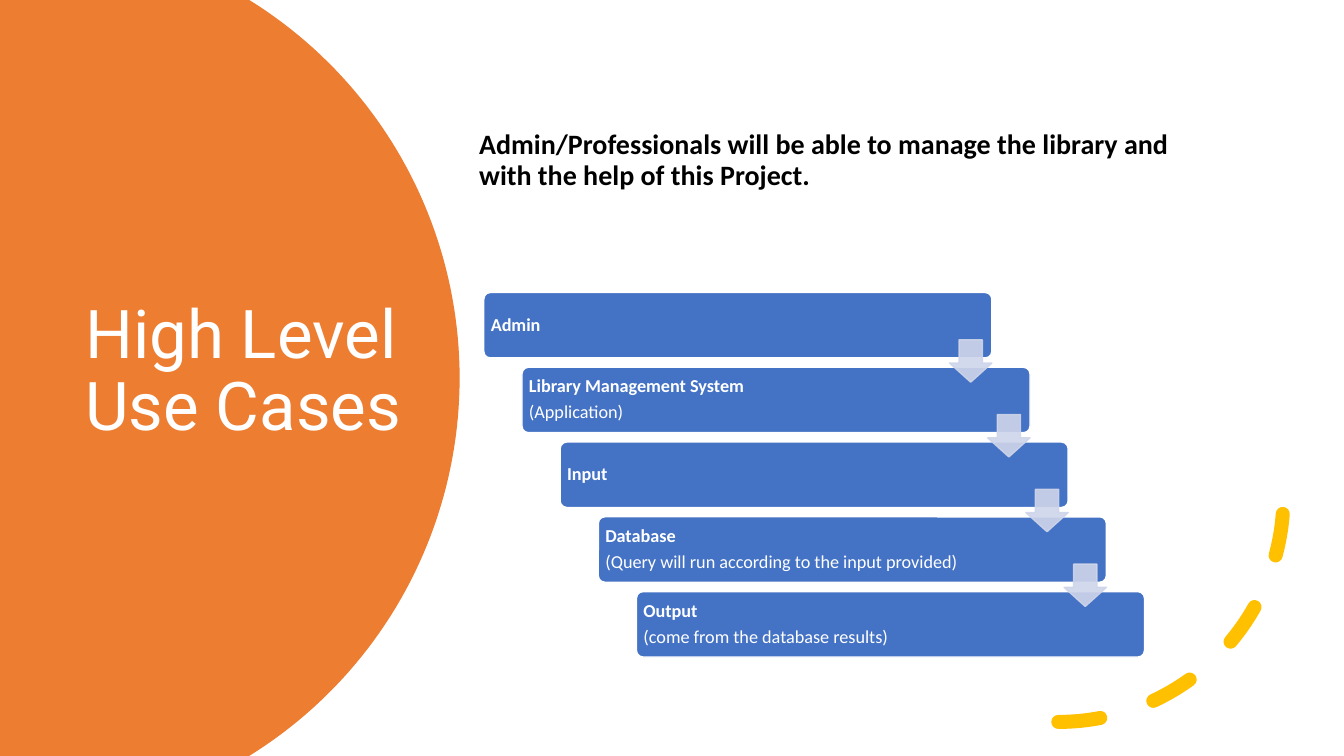
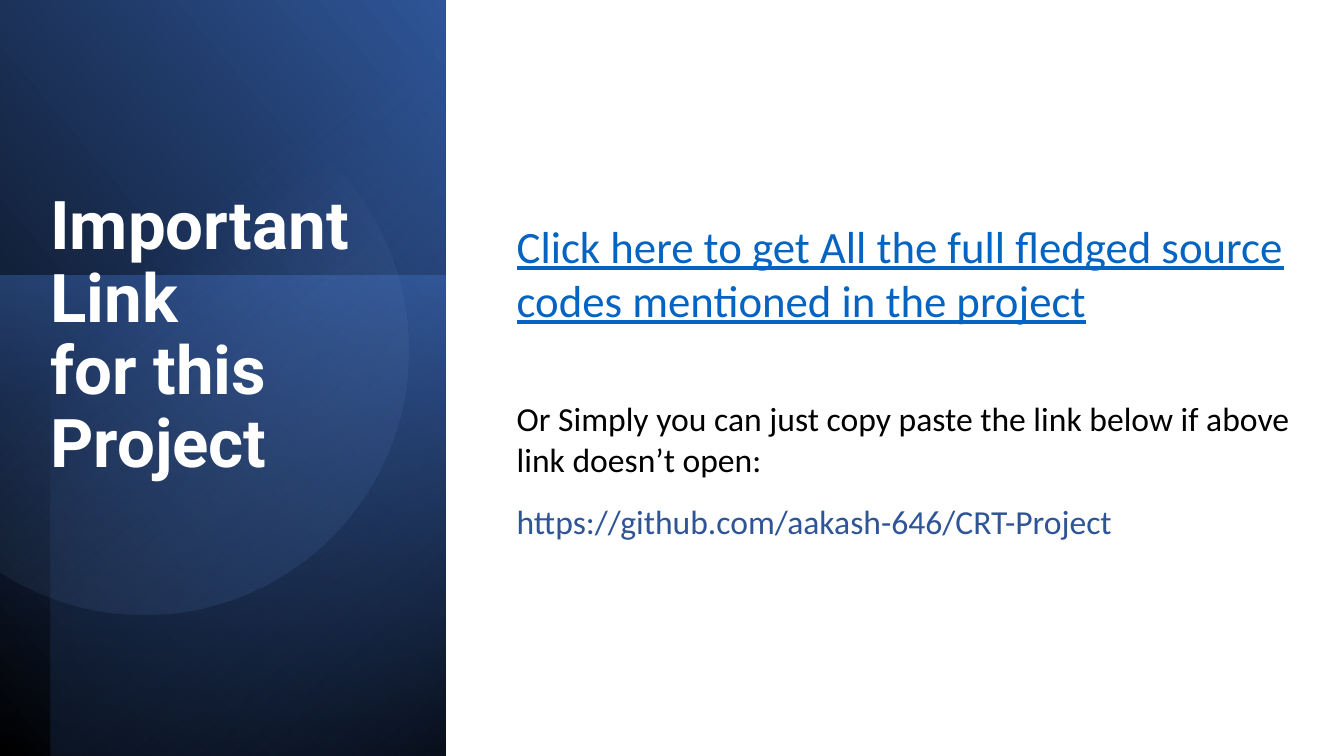
"""Build two library project slides: the use case cascade and the source link."""
from dataclasses import dataclass
from math import cos, radians, sin

from lxml.etree import SubElement
from pptx import Presentation
from pptx.dml.color import RGBColor
from pptx.enum.dml import MSO_LINE
from pptx.enum.shapes import MSO_SHAPE as Preset
from pptx.enum.text import MSO_ANCHOR as Anchor, MSO_AUTO_SIZE as AutoSize, PP_ALIGN as Align
from pptx.oxml.ns import qn
from pptx.oxml.xmlchemy import OxmlElement
from pptx.util import Inches, Pt


@dataclass(frozen=True)
class Theme:
    heading: str = "Roboto"
    body: str = "Calibri"
    white: str = "FFFFFF"
    black: str = "000000"
    orange: str = "ED7D31"
    yellow: str = "FFC000"
    blue: str = "4472C4"
    mid_blue: str = "2F5597"
    navy: str = "203864"
    sky: str = "8FAADC"
    mist: str = "CFD5EA"
    link: str = "0563C1"
    title_size: int = 48
    link_size: int = 32
    text_size: int = 24
    lead_size: int = 20
    step_size: int = 13


theme = Theme()
deck = Presentation()
deck.slide_width, deck.slide_height = Inches(13.33), Inches(7.5)
column, row = deck.slide_width / 100, deck.slide_height / 100


def cells(left, top, width, height):
    return round(left * column), round(top * row), round(width * column), round(height * row)


def write(frame, lines, size, color, face=theme.body, bold=False, spacing=1.0, after=0):
    frame.word_wrap = True
    frame.auto_size = AutoSize.NONE
    frame.text = "\n".join(lines)
    for para in frame.paragraphs:
        para.alignment = Align.LEFT
        para.line_spacing = spacing
        para.space_before, para.space_after = Pt(0), Pt(after)
        para.font.name, para.font.size, para.font.bold = face, Pt(size), bold
        para.font.color.rgb = RGBColor.from_string(color)


cases_page = deck.slides.add_slide(deck.slide_layouts[1])
link_page = deck.slides.add_slide(deck.slide_layouts[5])

panel_width = 33.15
panels = [
    link_page.shapes.add_shape(Preset.RECTANGLE, *cells(*area))
    for area in (
        (0, 0, panel_width, 100),
        (0, 36.5, panel_width, 63.5),
        (3.75, 0, panel_width - 3.75, 100),
    )
]

discs = []
for page, center_x, center_y, radius, half_angle in (
    (cases_page, 1.1, 50, 33.1, 58.2),
    (link_page, 10.7, 46.3, 19.7, 122.9),
):
    steps = 90
    angles = [radians(half_angle * (2 * step / steps - 1)) for step in range(steps + 1)]
    points = [
        (
            max(0, round((center_x + radius * cos(angle)) * column)),
            round(center_y * row + radius * sin(angle) * column),
        )
        for angle in angles
    ]
    builder = page.shapes.build_freeform(0, points[0][1])
    builder.add_line_segments(points + [(0, points[-1][1])], close=True)
    discs.append(builder.convert_to_shape())

for shape in panels + discs:
    shape.shadow.inherit = False
    shape.line.fill.background()

discs[0].fill.solid()
discs[0].fill.fore_color.rgb = RGBColor.from_string(theme.orange)

for shape, angle, stops in (
    (panels[0], 40, ((0, theme.black, 100), (100, theme.mid_blue, 100))),
    (panels[1], 260, ((0, theme.blue, 50), (100, theme.navy, 0))),
    (panels[2], 130, ((0, theme.black, 59), (69, theme.blue, 0))),
    (discs[1], 309, ((39, theme.sky, 0), (100, theme.mid_blue, 26))),
):
    shape.fill.gradient()
    shape.fill.gradient_angle = angle
    for stop, (position, color, opacity) in zip(shape.fill.gradient_stops, stops):
        stop.position = position / 100
        stop.color.rgb = RGBColor.from_string(color)
    for tint, (position, color, opacity) in zip(list(shape.element.iter(qn("a:srgbClr"))), stops):
        SubElement(tint, qn("a:alpha"), val=str(opacity * 1000))

for page, text, area, anchor, bold in (
    (cases_page, "High Level Use Cases", (5.6, 16.8, 26.3, 65), Anchor.MIDDLE, False),
    (link_page, "Important\vLink\vfor this\vProject", (3, 24.7, 30.4, 60.5), Anchor.TOP, True),
):
    title = page.shapes.title
    title.left, title.top, title.width, title.height = cells(*area)
    title.text_frame.vertical_anchor = anchor
    write(title.text_frame, [text], theme.title_size, theme.white, theme.heading, bold, 0.9)
    title.element.getparent().append(title.element)

arc = cases_page.shapes.add_shape(Preset.ARC, *cells(62, 35.9, 33.5, 59.6))
arc.shadow.inherit = False
arc.fill.background()
arc.line.color.rgb = RGBColor.from_string(theme.yellow)
arc.line.width = Pt(10)
arc.line.dash_style = MSO_LINE.DASH
arc.element.spPr.find(qn("a:ln")).set("cap", "rnd")
arc.element.spPr.find(qn("a:xfrm")).set("flipV", "1")

lead = cases_page.placeholders[1]
lead.left, lead.top, lead.width, lead.height = cells(34.9, 10.1, 56, 22.4)
lead.text_frame.vertical_anchor = Anchor.MIDDLE
lead_text = "Admin/Professionals will be able to manage the library and with the help of this Project."
write(lead.text_frame, [lead_text], theme.lead_size, theme.black, bold=True, spacing=0.9)
for defaults in list(lead.element.iter(qn("a:defRPr"))):
    defaults.addprevious(OxmlElement("a:buNone"))
    defaults.getparent().set("marL", "0")
    defaults.getparent().set("indent", "0")

stages = (
    ["Admin"],
    ["Library Management System", "(Application)"],
    ["Input"],
    ["Database", "(Query will run according to the input provided)"],
    ["Output", "(come from the database results)"],
)
corners = [(36 + 2.84 * index, 38.7 + 9.89 * index) for index in range(len(stages))]

for (left, top), lines in zip(corners, stages):
    box = cases_page.shapes.add_shape(Preset.ROUNDED_RECTANGLE, *cells(left, top, 37.8, 8.65))
    box.adjustments[0] = 0.1
    box.shadow.inherit = False
    box.fill.solid()
    box.fill.fore_color.rgb = RGBColor.from_string(theme.blue)
    box.line.color.rgb = RGBColor.from_string(theme.white)
    box.line.width = Pt(1)
    frame = box.text_frame
    frame.margin_left, frame.margin_right = Inches(0.05), Inches(0.8)
    frame.margin_top = frame.margin_bottom = Inches(0.05)
    frame.vertical_anchor = Anchor.MIDDLE
    write(frame, lines, theme.step_size, theme.white, bold=True, spacing=0.9, after=4.5)
    for para in frame.paragraphs[1:]:
        para.font.bold = False

for left, top in corners[:-1]:
    arrow = cases_page.shapes.add_shape(Preset.DOWN_ARROW, *cells(left + 34.65, top + 6.25, 3.15, 5.6))
    arrow.adjustments[0], arrow.adjustments[1] = 0.55, 0.45
    arrow.shadow.inherit = False
    arrow.fill.solid()
    arrow.fill.fore_color.rgb = RGBColor.from_string(theme.mist)
    arrow.line.color.rgb = RGBColor.from_string(theme.mist)
    arrow.line.width = Pt(1)
    for tint in list(arrow.element.iter(qn("a:srgbClr"))):
        SubElement(tint, qn("a:alpha"), val="90000")

for text, top, width, height, size, color, underline in (
    ("Click here to get All the full fledged source codes mentioned in the project",
     28.3, 60.2, 15.7, theme.link_size, theme.link, True),
    ("Or Simply you can just copy paste the link below if above link doesn’t open:",
     52, 60.2, 12.1, theme.text_size, theme.black, False),
    ("https://github.com/aakash-646/CRT-Project",
     65.6, 49.8, 6.7, theme.text_size, theme.mid_blue, False),
):
    box = link_page.shapes.add_textbox(*cells(37.7, top, width, height))
    write(box.text_frame, [text], size, color)
    box.text_frame.paragraphs[0].font.underline = underline

deck.save("out.pptx")
